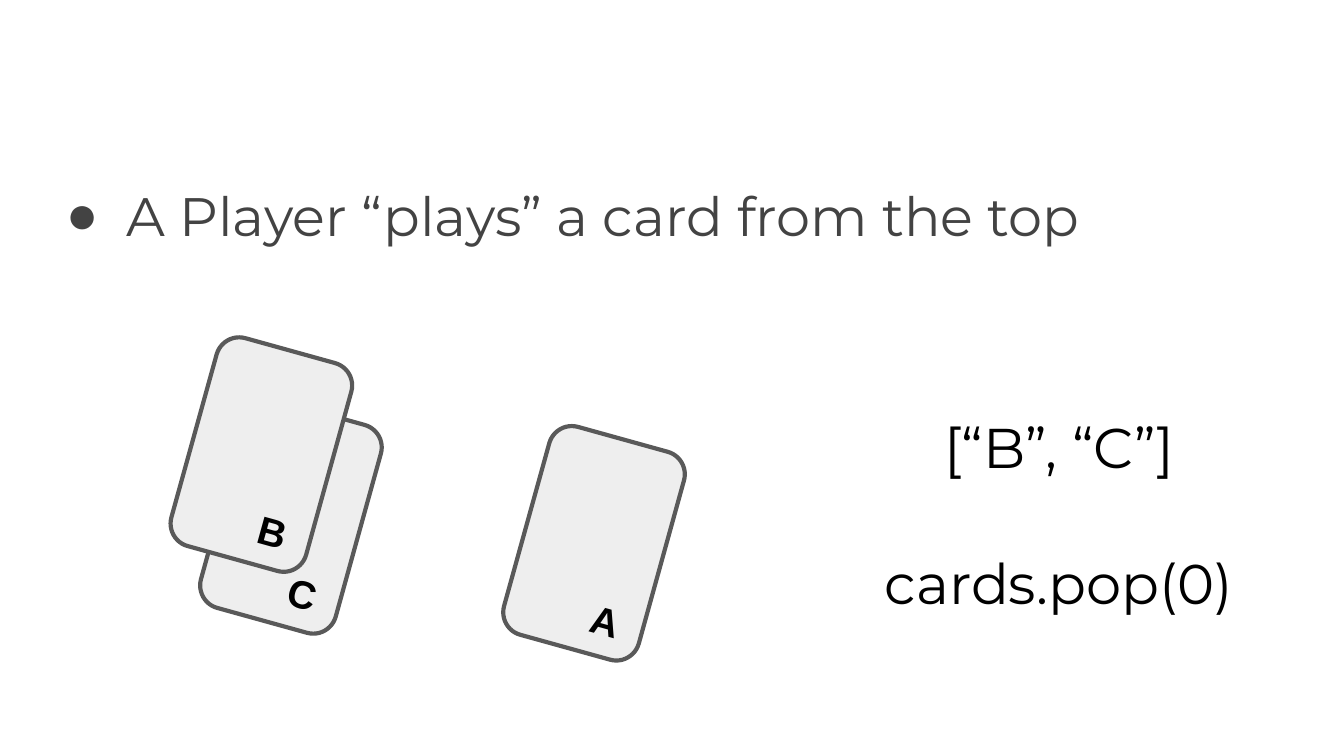
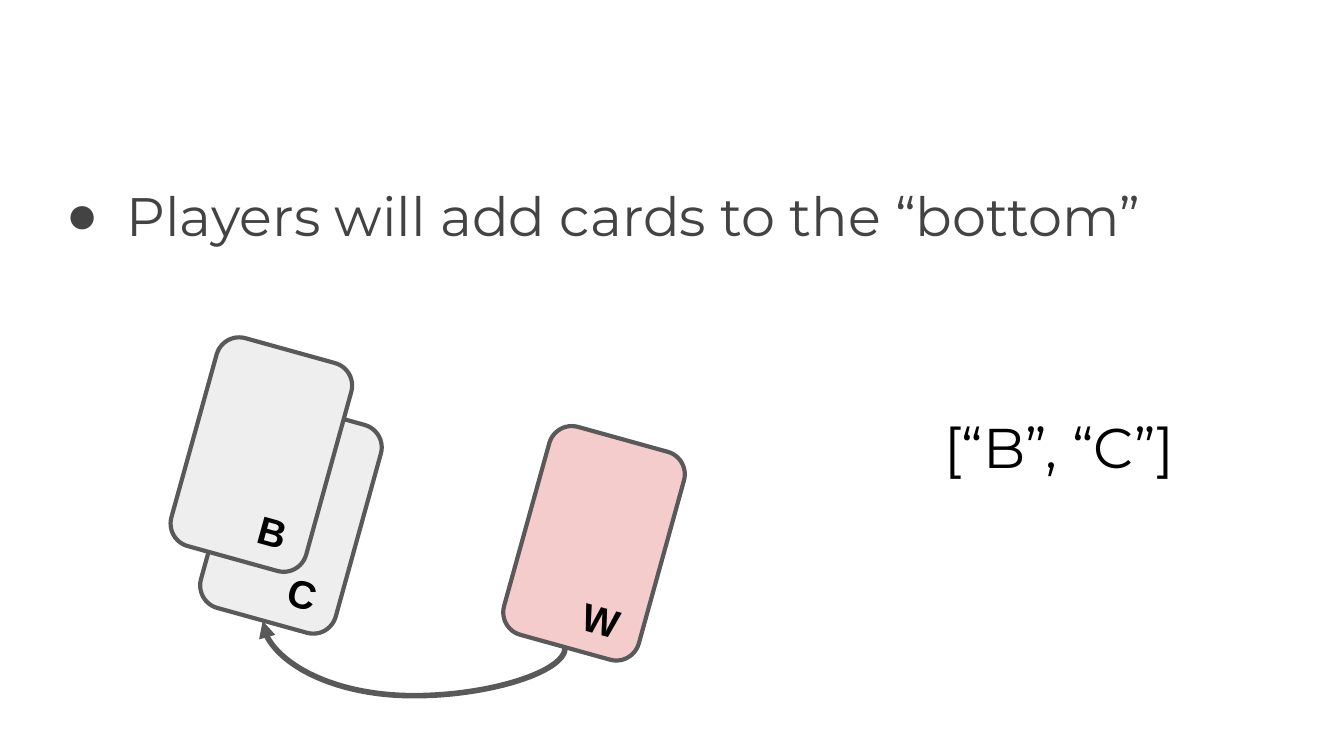
from lxml import etree
from pptx import Presentation
from pptx.dml.color import RGBColor
from pptx.enum.shapes import MSO_CONNECTOR, MSO_SHAPE
from pptx.enum.text import MSO_ANCHOR, MSO_AUTO_SIZE, PP_ALIGN
from pptx.oxml.ns import qn
from pptx.util import Pt

ROUNDED = MSO_SHAPE.ROUNDED_RECTANGLE
CURVE = MSO_CONNECTOR.CURVE
TOP, BOTTOM = MSO_ANCHOR.TOP, MSO_ANCHOR.BOTTOM
CENTER, RIGHT = PP_ALIGN.CENTER, PP_ALIGN.RIGHT
NO_AUTOFIT = MSO_AUTO_SIZE.NONE

PX = 4572  # EMU per px, 200 px to the inch


class Theme:
    statement = RGBColor.from_string("434343")
    ink = RGBColor.from_string("000000")
    outline = RGBColor.from_string("595959")
    card = RGBColor.from_string("EEEEEE")
    won_card = RGBColor.from_string("F4CCCC")
    text_font = "Montserrat"
    card_font = "Arial"
    bullet_font = "Arial"
    statement_size = Pt(29)
    code_size = Pt(30)
    code_gap = Pt(36.6)
    card_size = Pt(21)
    card_line = Pt(2.25)
    arrow_line = Pt(3)


def add_run(paragraph, text, font, size, color, bold=False):
    run = paragraph.add_run()
    run.text = text
    run.font.name = font
    run.font.size = size
    run.font.color.rgb = color
    run.font.bold = bold


def set_frame(frame, anchor, right=20, bottom=20):
    """Wrap the text, fix the anchor and set the margins in px."""
    frame.word_wrap = True
    frame.auto_size = NO_AUTOFIT
    frame.vertical_anchor = anchor
    frame.margin_left = frame.margin_top = 20 * PX
    frame.margin_right = right * PX
    frame.margin_bottom = bottom * PX


SLIDES = [
    {
        "statement": "A Player “plays” a card from the top",
        "code": ["[“B”, “C”]", "cards.pop(0)"],
        "table_card": ("A", Theme.card),
        "returns_to_deck": False,
    },
    {
        "statement": "Players will add cards to the “bottom”",
        "code": ["[“B”, “C”]"],
        "table_card": ("W", Theme.won_card),
        "returns_to_deck": True,
    },
]
DECK = [("C", Theme.card, 329, 608), ("B", Theme.card, 285, 516)]

prs = Presentation()
prs.slide_width, prs.slide_height = 2000 * PX, 1125 * PX
content_layout = prs.slide_layouts[1]

for content in SLIDES:
    slide = prs.slides.add_slide(content_layout)
    empty_title = slide.shapes.title.element
    empty_title.getparent().remove(empty_title)

    # Bulleted statement
    statement = slide.placeholders[1]
    statement.left, statement.top = 68 * PX, 252 * PX
    statement.width, statement.height = 1900 * PX, 220 * PX
    set_frame(statement.text_frame, TOP)
    paragraph = statement.text_frame.paragraphs[0]
    props = paragraph._p.get_or_add_pPr()
    props.set("marL", str(100 * PX))
    props.set("indent", str(-90 * PX))
    bullet_color = etree.SubElement(props, qn("a:buClr"))
    etree.SubElement(bullet_color, qn("a:srgbClr"), val=str(Theme.statement))
    etree.SubElement(props, qn("a:buFont"), typeface=Theme.bullet_font)
    etree.SubElement(props, qn("a:buChar"), char="●")
    paragraph.space_before = Pt(0)
    add_run(paragraph, content["statement"], Theme.text_font,
            Theme.statement_size, Theme.statement)

    # List of cards in the hand, and the call that changes it
    code = slide.shapes.add_textbox(1214 * PX, 594 * PX, 724 * PX, 190 * PX)
    set_frame(code.text_frame, TOP)
    for index, line in enumerate(content["code"]):
        if index == 0:
            paragraph = code.text_frame.paragraphs[0]
        else:
            paragraph = code.text_frame.add_paragraph()
            paragraph.space_before = Theme.code_gap
        paragraph.alignment = CENTER
        add_run(paragraph, line, Theme.text_font, Theme.code_size, Theme.ink)

    # Deck on the left, single card on the table
    for letter, fill, left, top in [*DECK, (*content["table_card"], 780, 648)]:
        card = slide.shapes.add_shape(ROUNDED, left * PX, top * PX, 208 * PX, 321 * PX)
        card.rotation = 15.5
        card.shadow.inherit = False
        card.fill.solid()
        card.fill.fore_color.rgb = fill
        card.line.color.rgb = Theme.outline
        card.line.width = Theme.card_line
        set_frame(card.text_frame, BOTTOM, right=26, bottom=10)
        paragraph = card.text_frame.paragraphs[0]
        paragraph.alignment = RIGHT
        add_run(paragraph, letter, Theme.card_font, Theme.card_size, Theme.ink, bold=True)

    # Arrow from the table card to the bottom of the deck, turned a quarter
    if content["returns_to_deck"]:
        arrow = slide.shapes.add_connector(CURVE, 636 * PX, 719 * PX, 596 * PX, 1169 * PX)
        arrow.line.color.rgb = Theme.outline
        arrow.line.width = Theme.arrow_line
        arrow_props = arrow._element.spPr
        arrow_props.find(qn("a:xfrm")).set("rot", str(90 * 60000))
        bends = arrow_props.find(qn("a:prstGeom")).get_or_add_avLst()
        etree.SubElement(bends, qn("a:gd"), name="adj1", fmla="val -178200")
        etree.SubElement(arrow_props.find(qn("a:ln")), qn("a:tailEnd"), type="triangle")
        etree.SubElement(arrow_props, qn("a:effectLst"))

prs.save("out.pptx")
